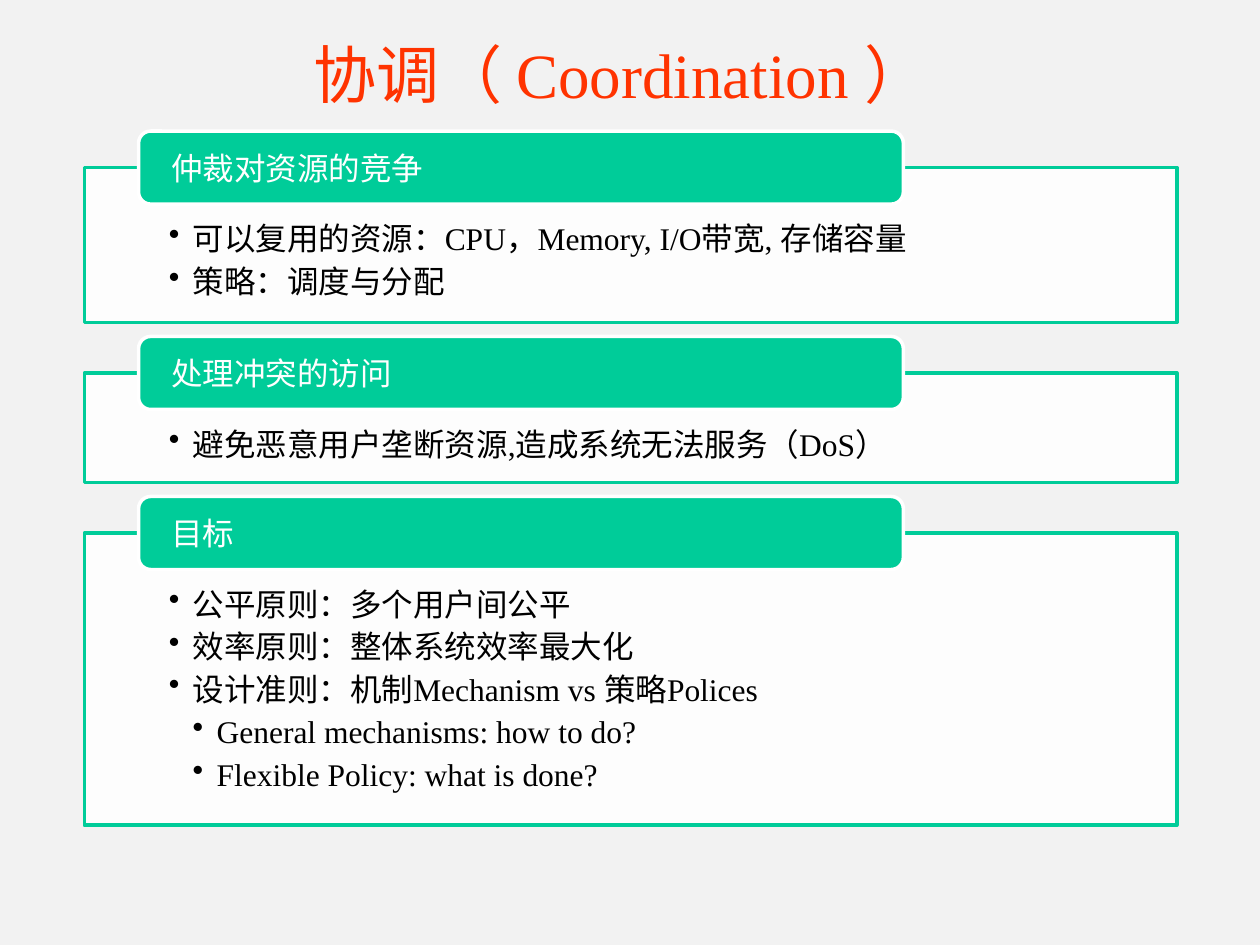
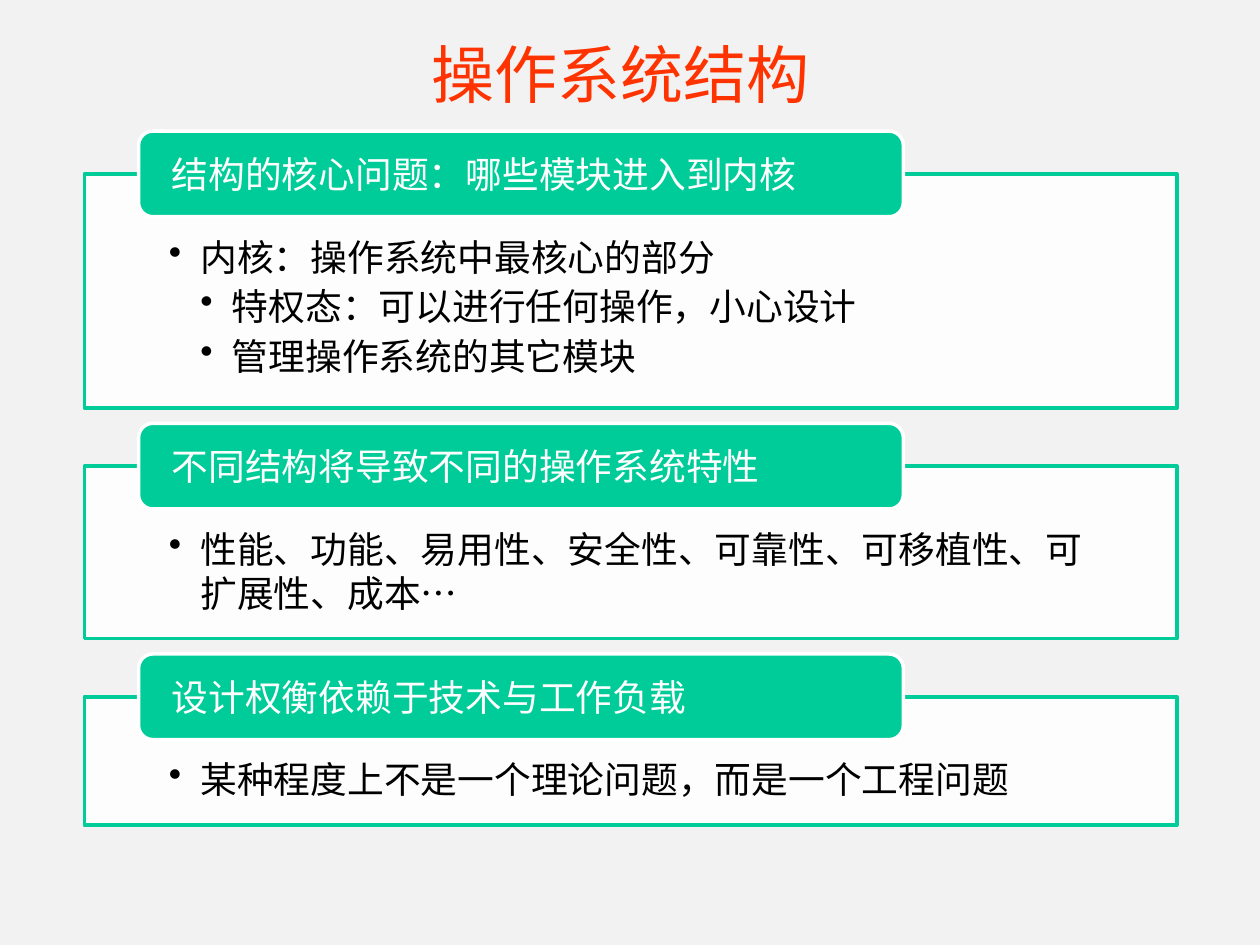
from collections import namedtuple
from lxml.etree import SubElement
from pptx import Presentation
from pptx.dml.color import RGBColor
from pptx.enum.lang import MSO_LANGUAGE_ID
from pptx.enum.shapes import MSO_SHAPE
from pptx.enum.text import MSO_ANCHOR, PP_ALIGN
from pptx.oxml.ns import qn
from pptx.util import Inches, Pt

Theme = namedtuple("Theme", "back title green white black font head line")
theme = Theme(
    back=RGBColor.from_string("F2F2F2"),
    title=RGBColor.from_string("FF3300"),
    green=RGBColor.from_string("00CC99"),
    white=RGBColor.from_string("FFFFFF"),
    black=RGBColor.from_string("000000"),
    font="Times New Roman",
    head=36,
    line=2,
)


def write(shape, items, size, color, pads=(0.1, 0.05, 0.1, 0.05),
          anchor=MSO_ANCHOR.MIDDLE, align=PP_ALIGN.LEFT, step=0, after=0):
    frame = shape.text_frame
    frame.word_wrap = True
    frame.vertical_anchor = anchor
    frame.margin_left, frame.margin_top, frame.margin_right, frame.margin_bottom = map(Inches, pads)
    for num, (level, text) in enumerate(items):
        para = frame.add_paragraph() if num else frame.paragraphs[0]
        para.alignment = align
        para.level = level
        para.space_after = Pt(after)
        if step:
            props = para._p.get_or_add_pPr()
            props.set("marL", str(Inches(step * level)))
            props.set("indent", str(-Inches(step)))
            SubElement(props, qn("a:buChar")).set("char", "•")
        run = para.add_run()
        run.text = text
        run.font.name = theme.font
        run.font.size = Pt(size)
        run.font.color.rgb = color
        run.font.language_id = MSO_LANGUAGE_ID.SIMPLIFIED_CHINESE


def panel(slide, kind, place, fill, edge):
    shape = slide.shapes.add_shape(kind, *map(Inches, place))
    shape.shadow.inherit = False
    shape.fill.solid()
    shape.fill.fore_color.rgb = fill
    shape.line.color.rgb = edge
    shape.line.width = Pt(theme.line)
    return shape


pages = [
    dict(title="协调（ Coordination ）", size=18, band=0.58, gap=0.11,
         step=0.19, pad=0.41, foot=0.14, parts=[
             ("仲裁对资源的竞争", 1.23, [
                 (1, "可以复用的资源：CPU，Memory, I/O带宽, 存储容量"),
                 (1, "策略：调度与分配")]),
             ("处理冲突的访问", 0.87, [
                 (1, "避免恶意用户垄断资源,造成系统无法服务（DoS）")]),
             ("目标", 2.32, [
                 (1, "公平原则：多个用户间公平"),
                 (1, "效率原则：整体系统效率最大化"),
                 (1, "设计准则：机制Mechanism vs 策略Polices"),
                 (2, "General mechanisms: how to do?"),
                 (2, "Flexible Policy: what is done?")])]),
    dict(title="操作系统结构", size=21, band=0.68, gap=0.12,
         step=0.25, pad=0.48, foot=0.16, parts=[
             ("结构的核心问题：哪些模块进入到内核", 1.86, [
                 (1, "内核：操作系统中最核心的部分"),
                 (2, "特权态：可以进行任何操作，小心设计"),
                 (2, "管理操作系统的其它模块")]),
             ("不同结构将导致不同的操作系统特性", 1.37, [
                 (1, "性能、功能、易用性、安全性、可靠性、可移植性、可扩展性、成本…")]),
             ("设计权衡依赖于技术与工作负载", 1.02, [
                 (1, "某种程度上不是一个理论问题，而是一个工程问题")])]),
]

deck = Presentation()
deck.slide_width = Inches(10)
deck.slide_height = Inches(7.5)

for page in pages:
    slide = deck.slides.add_slide(deck.slide_layouts[6])
    slide.background.fill.solid()
    slide.background.fill.fore_color.rgb = theme.back
    title = slide.shapes.add_textbox(*map(Inches, (0.21, 0.07, 9.43, 1.02)))
    write(title, [(0, page["title"])], theme.head, theme.title, align=PP_ALIGN.CENTER)

    size, band = page["size"], page["band"]
    top = 1.04
    for label, tall, items in page["parts"]:
        start = top + band / 2
        box = panel(slide, MSO_SHAPE.RECTANGLE, (0.67, start, 8.67, tall),
                    theme.white, theme.green)
        tint = box.fill._xPr.find(qn("a:solidFill"))[0]
        SubElement(tint, qn("a:alpha")).set("val", "90000")
        write(box, items, size, theme.black, pads=(0.67, page["pad"], 0.67, page["foot"]),
              anchor=MSO_ANCHOR.TOP, step=page["step"], after=size * 0.15)
        tab = panel(slide, MSO_SHAPE.ROUNDED_RECTANGLE, (1.1, top, 6.07, band),
                    theme.green, theme.white)
        write(tab, [(0, label)], size, theme.white, pads=(0.23, 0, 0.23, 0))
        top = start + tall + page["gap"]

deck.save("out.pptx")
